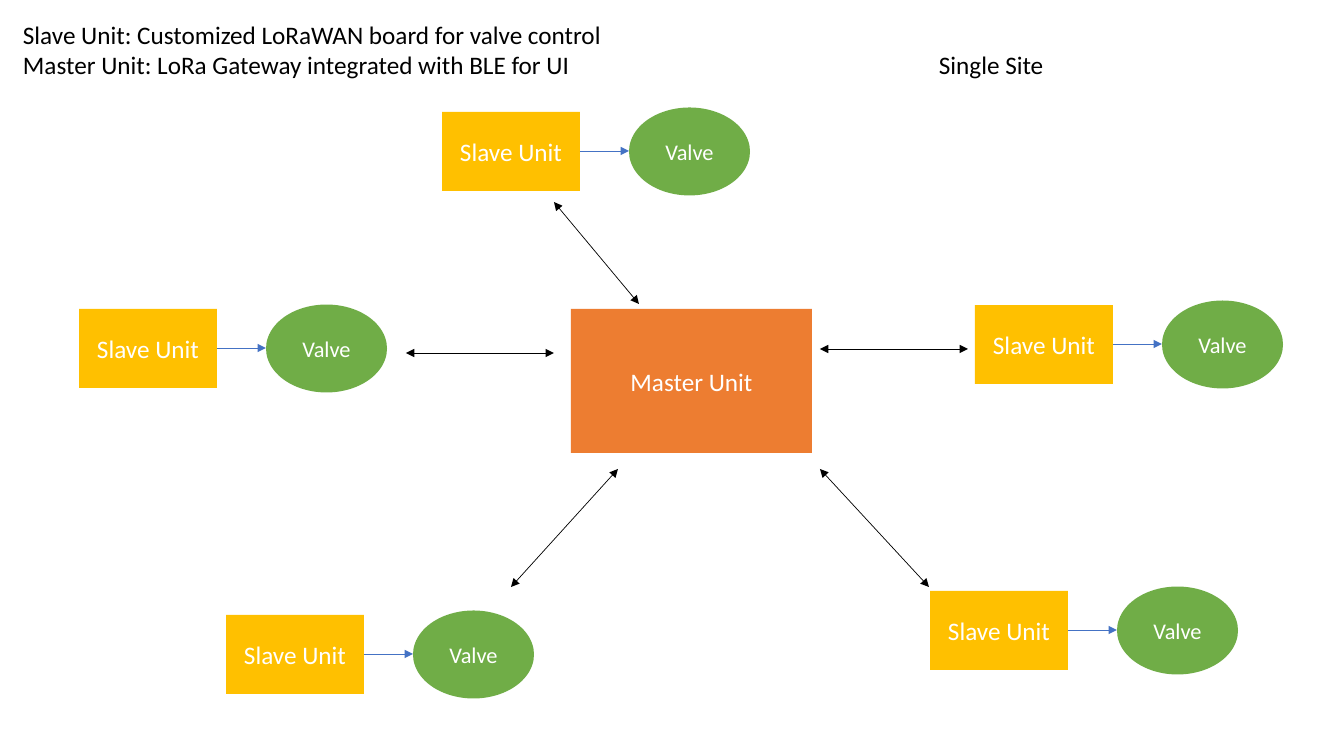
import pptx
import pptx.dml.color
import pptx.enum.shapes
import pptx.enum.text
import pptx.oxml.ns
import pptx.util
from lxml import etree

RGBColor = pptx.dml.color.RGBColor
BLACK = RGBColor(0x00, 0x00, 0x00)
WHITE = RGBColor(0xFF, 0xFF, 0xFF)
AMBER = RGBColor(0xFF, 0xC0, 0x00)
GREEN = RGBColor(0x70, 0xAD, 0x47)
ORANGE = RGBColor(0xED, 0x7D, 0x31)
BLUE = RGBColor(0x44, 0x72, 0xC4)

RECTANGLE = pptx.enum.shapes.MSO_SHAPE.RECTANGLE
OVAL = pptx.enum.shapes.MSO_SHAPE.OVAL
CENTER = pptx.enum.text.PP_ALIGN.CENTER
LEFT = pptx.enum.text.PP_ALIGN.LEFT

EMU_PER_PX = 914400 / 100.8
PAGE_WIDTH, PAGE_HEIGHT = 1344, 756
SLAVE_WIDTH, SLAVE_HEIGHT = 138, 79
VALVE_WIDTH, VALVE_HEIGHT = 121, 88
VALVE_OFFSET = 187

SLAVE_CORNERS = [(442, 112), (79, 309), (226, 615), (975, 305), (930, 591)]
RADIO_LINKS = [
    ((554, 202), (639, 304)),
    ((406, 353), (554, 353)),
    ((511, 587), (618, 469)),
    ((820, 469), (929, 587)),
    ((820, 349), (968, 349)),
]


def px(*lengths):
    return [pptx.util.Emu(round(length * EMU_PER_PX)) for length in lengths]


def write(frame, text, *, size=18, color=BLACK, align=LEFT, font="Calibri"):
    for index, line in enumerate(text.split("\n")):
        para = frame.add_paragraph() if index else frame.paragraphs[0]
        para.alignment = align
        span = para.add_run()
        span.text = line
        span.font.name = font
        span.font.size = pptx.util.Pt(size)
        span.font.color.rgb = color


class Diagram:
    """Draws the elements of a network diagram on one page."""

    def __init__(self, page, line_width=0.5):
        self.page = page
        self.line_width = pptx.util.Pt(line_width)

    def block(self, kind, left, top, width, height, fill, text, size=18):
        box = self.page.shapes.add_shape(kind, *px(left, top, width, height))
        box.shadow.inherit = False
        box.fill.solid()
        box.fill.fore_color.rgb = fill
        box.line.fill.background()
        box.text_frame.vertical_anchor = pptx.enum.text.MSO_ANCHOR.MIDDLE
        write(box.text_frame, text, size=size, color=WHITE, align=CENTER)

    def arrow(self, start, end, color, ends=("tailEnd",)):
        straight = pptx.enum.shapes.MSO_CONNECTOR.STRAIGHT
        connector = self.page.shapes.add_connector(straight, *px(*start, *end))
        connector.line.color.rgb = color
        connector.line.width = self.line_width
        for name in ends:
            tag = pptx.oxml.ns.qn(f"a:{name}")
            etree.SubElement(connector.get_or_add_ln(), tag, type="triangle")
        etree.SubElement(connector.element.spPr, pptx.oxml.ns.qn("a:effectLst"))

    def label(self, left, top, width, height, text):
        box = self.page.shapes.add_textbox(*px(left, top, width, height))
        box.text_frame.word_wrap = False
        box.text_frame.auto_size = pptx.enum.text.MSO_AUTO_SIZE.SHAPE_TO_FIT_TEXT
        write(box.text_frame, text)

    def slave_with_valve(self, left, top):
        valve_left = left + VALVE_OFFSET
        valve_top = top - (VALVE_HEIGHT - SLAVE_HEIGHT) / 2
        middle = top + SLAVE_HEIGHT // 2
        self.block(RECTANGLE, left, top, SLAVE_WIDTH, SLAVE_HEIGHT, AMBER, "Slave Unit")
        self.block(OVAL, valve_left, valve_top, VALVE_WIDTH, VALVE_HEIGHT, GREEN,
                   "Valve", size=16)
        self.arrow((left + SLAVE_WIDTH, middle), (valve_left, middle), BLUE)


def main():
    deck = pptx.Presentation()
    deck.slide_width, deck.slide_height = px(PAGE_WIDTH, PAGE_HEIGHT)
    diagram = Diagram(deck.slides.add_slide(deck.slide_layouts[6]))
    for corner in SLAVE_CORNERS:
        diagram.slave_with_valve(*corner)
    diagram.block(RECTANGLE, 571, 309, 241, 144, ORANGE, "Master Unit")
    for start, end in RADIO_LINKS:
        diagram.arrow(start, end, BLACK, ends=("headEnd", "tailEnd"))
    diagram.label(13, 14, 600, 72,
                  "Slave Unit: Customized LoRaWAN board for valve control\n"
                  "Master Unit: LoRa Gateway integrated with BLE for UI")
    diagram.label(929, 44, 126, 40, "Single Site")
    deck.save("out.pptx")


if __name__ == "__main__":
    main()
